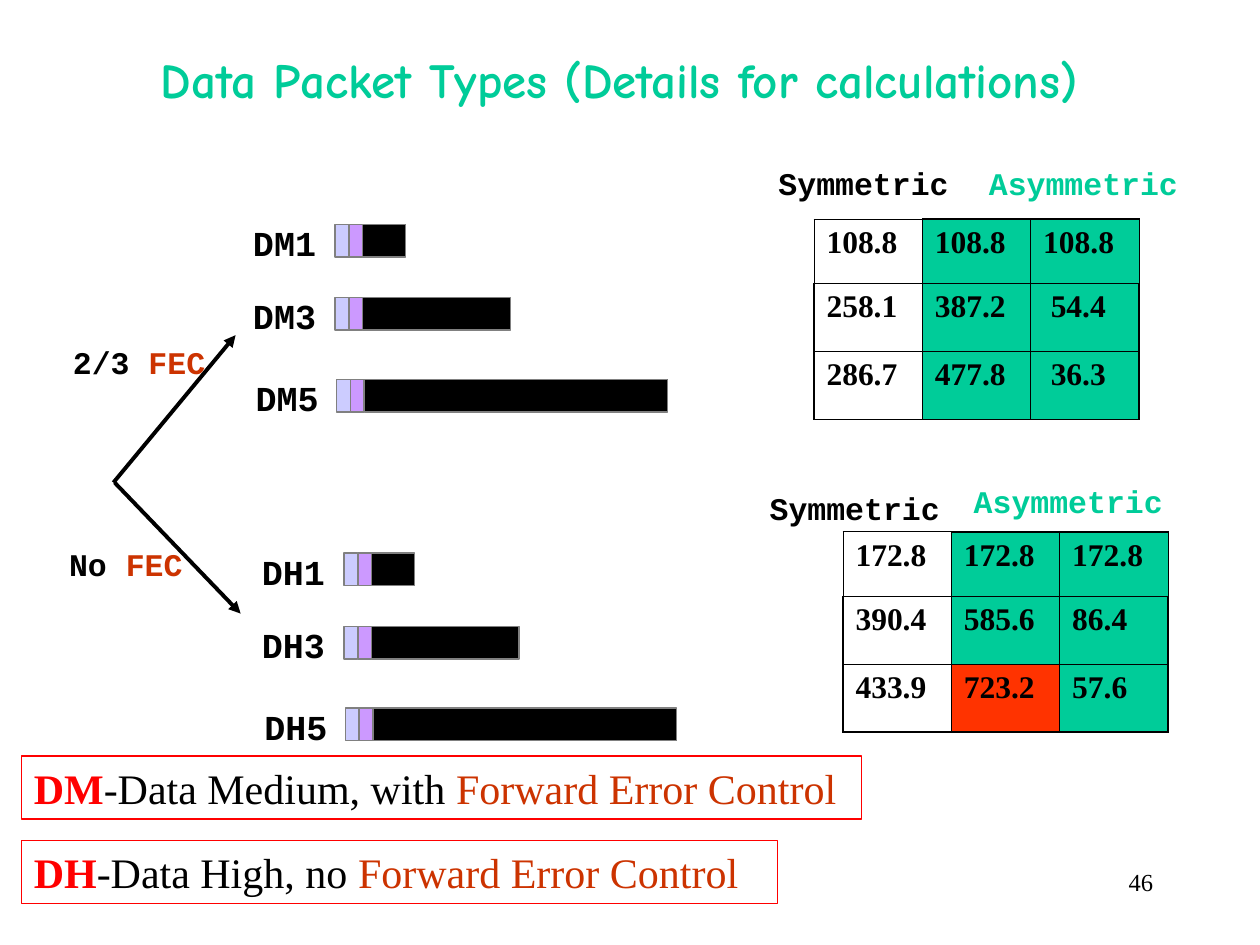
import pptx
import pptx.dml.color
import pptx.enum.shapes
import pptx.enum.text
import pptx.util
from lxml import etree
from pptx.util import Inches

GREEN, BLACK, RUST, RED = "00CC99", "000000", "CC3300", "FF0000"
SERIF, MONO, COMIC = "Times New Roman", "Courier New", "Comic Neue"
ALIGN = pptx.enum.text.PP_ALIGN
RECTANGLE = pptx.enum.shapes.MSO_SHAPE.RECTANGLE
GROW = pptx.enum.text.MSO_AUTO_SIZE.SHAPE_TO_FIT_TEXT


def color(hex_code):
    return pptx.dml.color.RGBColor.from_string(hex_code)


def write(frame, parts, size, font, align=ALIGN.LEFT):
    """Fill one paragraph with (text, color, bold) parts."""
    paragraph = frame.paragraphs[0]
    paragraph.alignment = align
    for text, hex_code, bold in parts:
        run = paragraph.add_run()
        run.text = text
        run.font.size = pptx.util.Pt(size)
        run.font.name = font
        run.font.bold = bold
        run.font.color.rgb = color(hex_code)


def add_text(shapes, box, parts, size, font, align=ALIGN.LEFT, wrap=False):
    frame = shapes.add_textbox(*map(Inches, box)).text_frame
    frame.word_wrap = wrap
    if not wrap:
        frame.auto_size = GROW
    write(frame, parts, size, font, align)
    return frame


def add_box(shapes, box, fill, outline):
    rectangle = shapes.add_shape(RECTANGLE, *map(Inches, box))
    rectangle.shadow.inherit = False
    if fill:
        rectangle.fill.solid()
        rectangle.fill.fore_color.rgb = color(fill)
    else:
        rectangle.fill.background()
    rectangle.line.color.rgb = color(outline)
    rectangle.line.width = pptx.util.Pt(0.75)
    return rectangle


def add_packets(slide, family, left, top):
    """Draw the 1, 3 and 5 slot packets: access code, header and payload."""
    group = slide.shapes.add_group_shape()
    part = 0.11
    for slots, dx, dy, payload in [(1, 0, 0, 0.34), (3, 0, 0.58, 1.17), (5, 0.01, 1.23, 2.41)]:
        x, y = left + dx, top + dy
        add_text(group.shapes, (x - 0.75 + dx, y - 0.07, 0.7, 0.44),
                 [(f"{family}{slots}", BLACK, True)], 20, MONO)
        for offset, width, fill in [(0, part, "CCCCFF"), (2 * part, payload, BLACK),
                                    (part, part, "CC99FF")]:
            add_box(group.shapes, (x + offset, y, width, 0.26), fill, "808080")


def add_arrow(slide, start, end):
    arrow = slide.shapes.add_connector(pptx.enum.shapes.MSO_CONNECTOR.STRAIGHT,
                                       *map(Inches, start + end))
    arrow.line.color.rgb = color(BLACK)
    arrow.line.width = pptx.util.Pt(2.25)
    line = arrow.line._get_or_add_ln()
    etree.SubElement(line, pptx.oxml.ns.qn("a:tailEnd"), type="triangle")
    etree.SubElement(arrow._element.spPr, pptx.oxml.ns.qn("a:effectLst"))


def add_borders(cell, heavy_sides):
    properties = cell._tc.get_or_add_tcPr()
    for side in "LRTB":
        width = 1.08 if side in heavy_sides else 0.45
        line = etree.SubElement(properties, pptx.oxml.ns.qn(f"a:ln{side}"),
                                w=str(pptx.util.Pt(width)))
        fill = etree.SubElement(line, pptx.oxml.ns.qn("a:solidFill"))
        etree.SubElement(fill, pptx.oxml.ns.qn("a:srgbClr"), val=BLACK)


def add_rates(slide, left, top, rates, highlight=None, indented=()):
    """Add a table of rates: symmetric in white, asymmetric in green."""
    table = slide.shapes.add_table(3, 3, *map(Inches, (left, top, 2.58, 1.59))).table
    table.first_row = table.horz_banding = False
    for column in table.columns:
        column.width = Inches(0.86)
    for row, height in zip(table.rows, (0.51, 0.54, 0.54)):
        row.height = Inches(height)
    for r, values in enumerate(rates):
        for c, value in enumerate(values):
            cell = table.cell(r, c)
            heavy = {"L": c == 0 and r > 0, "R": c == 2 and r > 0,
                     "T": r == 0 and c > 0, "B": r == 2}
            add_borders(cell, [side for side in heavy if heavy[side]])
            if c == 0:
                cell.fill.background()
            else:
                cell.fill.solid()
                cell.fill.fore_color.rgb = color("FF3300" if value == highlight else GREEN)
            if value in indented:
                cell.margin_left = Inches(0.16)
            write(cell.text_frame, [(value, BLACK, True)], 18, SERIF)


def add_legend(slide, top, width, family, meaning):
    legend = add_box(slide.shapes, (0.17, top, width, 0.5), None, RED)
    frame = legend.text_frame
    frame.word_wrap = True
    frame.auto_size = GROW
    frame.vertical_anchor = pptx.enum.text.MSO_ANCHOR.TOP
    write(frame, [(family, RED, True), (meaning, BLACK, False),
                  ("Forward Error Control", RUST, False)], 24, SERIF)


def main():
    presentation = pptx.Presentation()
    presentation.slide_width, presentation.slide_height = Inches(10), Inches(7.5)
    slide = presentation.slides.add_slide(presentation.slide_layouts[6])
    shapes = slide.shapes

    # Slide number and title
    add_text(shapes, (7.17, 6.83, 2.08, 0.5), [("46", BLACK, False)], 14, SERIF,
             ALIGN.RIGHT, True)
    title = add_text(shapes, (0.58, 0.25, 8.67, 0.75),
                     [("Data Packet Types (Details for calculations)", GREEN, True)],
                     28, COMIC, ALIGN.CENTER, True)
    title.vertical_anchor = pptx.enum.text.MSO_ANCHOR.MIDDLE

    # Packet families
    add_packets(slide, "DM", 2.66, 1.78)
    add_packets(slide, "DH", 2.73, 4.39)

    # Branches with and without error correction
    add_arrow(slide, (0.9, 3.83), (1.87, 2.66))
    add_arrow(slide, (0.91, 3.83), (1.91, 4.87))
    for box, coding in [((0.48, 2.67, 1.25, 0.4), "2/3 "), ((0.45, 4.28, 1.1, 0.4), "No ")]:
        add_text(shapes, box, [(coding, BLACK, True), ("FEC", RUST, True)], 18, MONO)

    # Rate tables with their headings
    for left, top, heading, hue, width in [
            (6.08, 1.25, "Symmetric", BLACK, 1.55), (7.75, 1.25, "Asymmetric", GREEN, 1.7),
            (6.01, 3.83, "Symmetric", BLACK, 1.55), (7.63, 3.78, "Asymmetric", GREEN, 1.7)]:
        add_text(shapes, (left, top, width, 0.4), [(heading, hue, True)], 18, MONO)
    add_rates(slide, 6.46, 1.74, [("108.8", "108.8", "108.8"),
                                  ("258.1", "387.2", "54.4"),
                                  ("286.7", "477.8", "36.3")], indented=("54.4", "36.3"))
    add_rates(slide, 6.69, 4.22, [("172.8", "172.8", "172.8"),
                                  ("390.4", "585.6", "86.4"),
                                  ("433.9", "723.2", "57.6")], highlight="723.2")

    # Meaning of the family names
    add_legend(slide, 6.67, 6, "DH", "-Data High, no ")
    add_legend(slide, 6, 6.67, "DM", "-Data Medium, with ")

    presentation.save("out.pptx")


if __name__ == "__main__":
    main()
